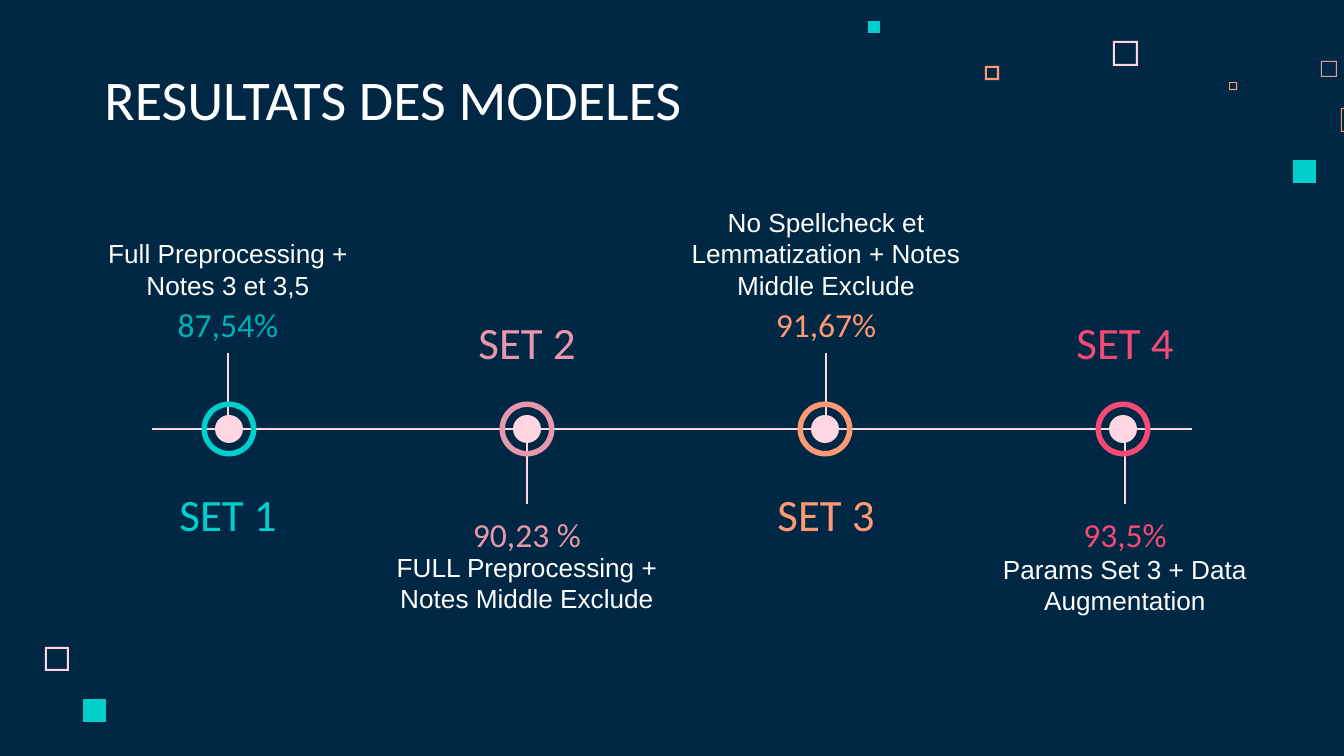
import pptx
import pptx.dml.color
import pptx.enum.shapes
import pptx.enum.text
import pptx.oxml.ns
import pptx.util
import lxml.etree

PX = 914400 / 134.4
COLORS = {
    "navy": "002845",
    "white": "FFFFFF",
    "blush": "FFD6E1",
    "teal": "00CFCC",
    "dark_teal": "00B1B4",
    "rose": "E898AC",
    "orange": "FF9973",
    "pink": "F64975",
}
SQUARES = [
    (1113, 41, 25, 2, "blush"),
    (1321, 61, 16, 1, "rose"),
    (1229, 82, 8, 1, "orange"),
    (1341, 108, 24, 1, "orange"),
    (1293, 160, 23, 0, "teal"),
    (985, 66, 14, 2, "orange"),
    (868, 21, 12, 0, "teal"),
    (45, 647, 24, 2, "blush"),
    (83, 699, 23, 0, "teal"),
]
SETS = [
    ("SET 1", "87,54%", "Full Preprocessing + Notes 3 et 3,5", "teal", "dark_teal", 277, 219),
    ("SET 2", "90,23 %", "FULL Preprocessing + Notes Middle Exclude", "rose", "rose", 311, 538),
    ("SET 3", "91,67%", "No Spellcheck et Lemmatization + Notes Middle Exclude", "orange", "orange", 311, 219),
    ("SET 4", "93,5%", "Params Set 3 + Data Augmentation", "pink", "pink", 311, 540),
]
AXIS_Y = 429
ANCHORS = pptx.enum.text.MSO_ANCHOR
ALIGNS = pptx.enum.text.PP_ALIGN
SHAPES = pptx.enum.shapes.MSO_SHAPE


def px(value):
    return pptx.util.Emu(round(value * PX))


def rgb(name):
    return pptx.dml.color.RGBColor.from_string(COLORS[name])


def paint(shape, color):
    shape.shadow.inherit = False
    shape.fill.solid()
    shape.fill.fore_color.rgb = rgb(color)
    shape.line.fill.background()


def write(box, text, *, size, color, font="Calibri", align=ALIGNS.CENTER,
          anchor=ANCHORS.MIDDLE, space_after=0):
    frame = box.text_frame
    frame.word_wrap = True
    frame.auto_size = pptx.enum.text.MSO_AUTO_SIZE.NONE
    frame.vertical_anchor = anchor
    frame.margin_left = frame.margin_right = pptx.util.Inches(0.1)
    frame.margin_top = frame.margin_bottom = pptx.util.Inches(0.1)
    para = frame.paragraphs[0]
    para.alignment = align
    para.space_after = pptx.util.Pt(space_after)
    span = para.add_run()
    span.text = text
    span.font.size = pptx.util.Pt(size)
    span.font.name = font
    span.font.color.rgb = rgb(color)


def add_label(page, center, top, width, height, text, **style):
    box = page.shapes.add_textbox(px(center - width / 2), px(top), px(width), px(height))
    write(box, text, **style)


def add_title(page, text):
    title = page.shapes.title
    title.left, title.top, title.width, title.height = px(91), px(60), px(695), px(85)
    write(title, text, size=30, color="white", align=ALIGNS.LEFT, anchor=ANCHORS.BOTTOM)


def add_square(page, left, top, side, wall, color):
    right, bottom = left + side, top + side
    builder = page.shapes.build_freeform(left, top, scale=PX)
    builder.add_line_segments([(left, bottom), (right, bottom), (right, top)])
    if wall:
        builder.move_to(left + wall, top + wall)
        builder.add_line_segments([
            (right - wall, top + wall),
            (right - wall, bottom - wall),
            (left + wall, bottom - wall),
        ])
    paint(builder.convert_to_shape(), color)


def add_line(page, x1, y1, x2, y2):
    line = page.shapes.add_connector(
        pptx.enum.shapes.MSO_CONNECTOR.STRAIGHT, px(x1), px(y1), px(x2), px(y2))
    line.line.color.rgb = rgb("blush")
    line.line.width = pptx.util.Pt(1.5)
    lxml.etree.SubElement(line._element.spPr, pptx.oxml.ns.qn("a:effectLst"))


def add_round(group, kind, center, size, color):
    shape = group.shapes.add_shape(
        kind, px(center - size / 2), px(AXIS_Y - size / 2), px(size), px(size))
    paint(shape, color)
    return shape


def add_marker(page, center, color):
    group = page.shapes.add_group_shape()
    add_round(group, SHAPES.OVAL, center, 28, "blush")
    ring = add_round(group, SHAPES.DONUT, center, 55, color)
    ring.adjustments[0] = 0.1


def add_set_texts(page, index, name, score, caption, color, score_color, width, caption_top):
    center = 228 + 299 * index
    above = index % 2 == 0
    near, far = (ANCHORS.TOP, ANCHORS.BOTTOM) if above else (ANCHORS.BOTTOM, ANCHORS.TOP)
    add_label(page, center, 290 if above else 505, 277, 63, score, size=18,
              color=score_color, anchor=near)
    add_label(page, center, caption_top, width, 95, caption, size=14, color="white",
              font="Arial", anchor=far, space_after=0 if above else 16)
    add_label(page, center, 482 if above else 310, 190, 63, name, size=24, color=color)


def main():
    deck = pptx.Presentation()
    deck.slide_width, deck.slide_height = px(1344), px(756)
    page = deck.slides.add_slide(deck.slide_layouts[5])
    page.background.fill.solid()
    page.background.fill.fore_color.rgb = rgb("navy")
    for square in SQUARES:
        add_square(page, *square)
    add_title(page, "RESULTATS DES MODELES")
    for index in range(len(SETS)):
        x = 228 + 299 * index
        start, end = (353, 421) if index % 2 == 0 else (438, 504)
        add_line(page, x, start, x, end)
    add_line(page, 152, AXIS_Y, 1192, AXIS_Y)
    for index, entry in enumerate(SETS):
        add_marker(page, 229 + 298 * index, entry[3])
        add_set_texts(page, index, *entry)
    deck.save("out.pptx")


if __name__ == "__main__":
    main()
